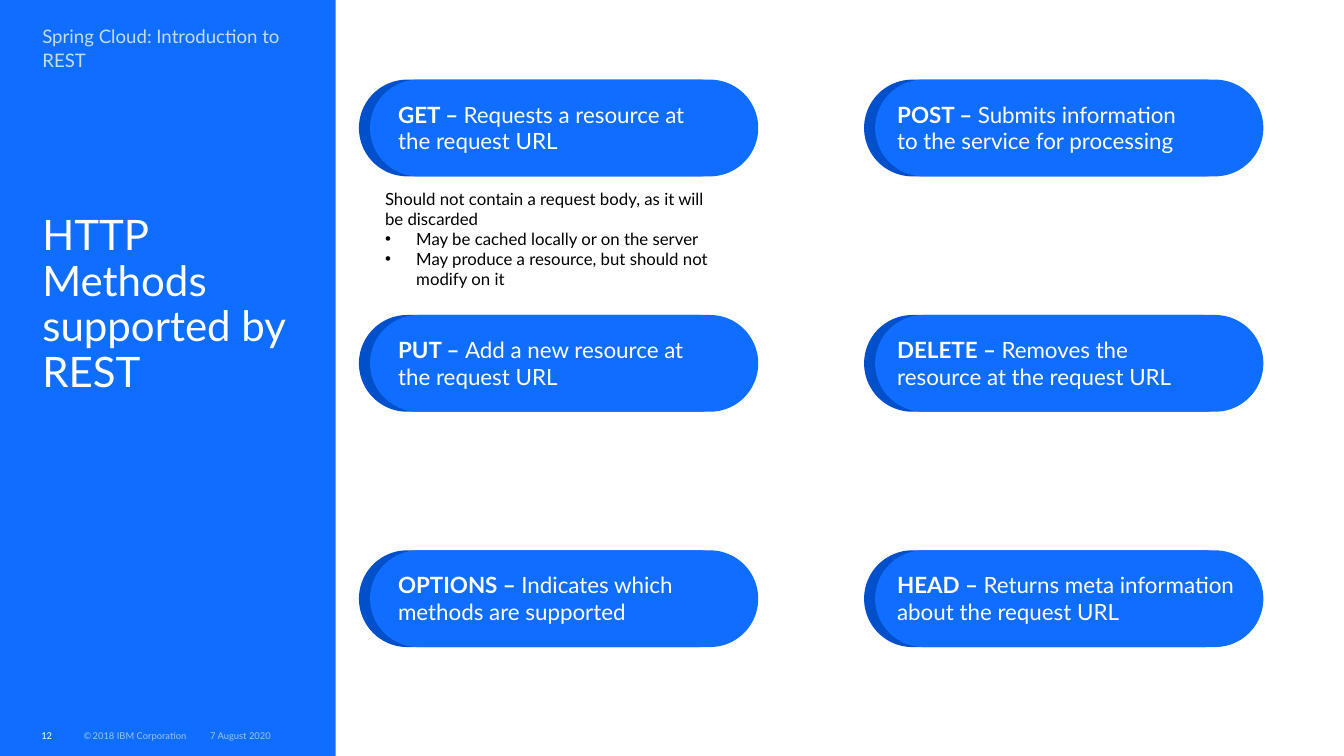
from lxml import etree
from pptx import Presentation
from pptx.dml.color import RGBColor
from pptx.enum.shapes import MSO_SHAPE
from pptx.enum.text import MSO_ANCHOR, PP_ALIGN
from pptx.oxml.ns import qn
from pptx.util import Inches, Pt

RECT, PILL = MSO_SHAPE.RECTANGLE, MSO_SHAPE.ROUNDED_RECTANGLE
TOP, MIDDLE = MSO_ANCHOR.TOP, MSO_ANCHOR.MIDDLE
LEFT = PP_ALIGN.LEFT

FONT = "Lato"
BLUE, DARK_BLUE, PALE_BLUE = "0F6DFF", "004FCB", "C5DBFF"
WHITE, BLACK = "FFFFFF", "000000"
SIDEBAR_W = 3.33

METHODS = [
    ("GET", "Requests a resource at the request URL", 3.19),
    ("POST", "Submits information to the service for processing", 3.19),
    ("PUT", "Add a new resource at the request URL", 3.19),
    ("DELETE", "Removes the resource at the request URL", 3.19),
    ("OPTIONS", "Indicates which methods are supported", 3.19),
    ("HEAD", "Returns meta information about the request URL", 3.77),
]
GET_NOTES = [
    "Should not contain a request body, as it will be discarded",
    "May be cached locally or on the server",
    "May produce a resource, but should not modify on it",
]


def rgb(color):
    return RGBColor.from_string(color)


def add_run(p, text, size, color, bold=False, alpha=None):
    r = p.add_run()
    r.text = text
    r.font.name = FONT
    r.font.size = Pt(size)
    r.font.bold = bold
    r.font.color.rgb = rgb(color)
    if alpha is not None:
        clr = r._r.find(".//" + qn("a:srgbClr"))
        etree.SubElement(clr, qn("a:alpha"), val=str(alpha * 1000))


def set_frame(tf, margins=(0, 0, 0, 0), anchor=TOP):
    tf.word_wrap = True
    tf.vertical_anchor = anchor
    tf.margin_left, tf.margin_top, tf.margin_right, tf.margin_bottom = map(Inches, margins)


def add_text(s, x, y, w, h, margins=(0, 0, 0, 0), anchor=TOP):
    tf = s.shapes.add_textbox(Inches(x), Inches(y), Inches(w), Inches(h)).text_frame
    set_frame(tf, margins, anchor)
    return tf


def add_block(s, kind, x, y, w, h, color):
    sp = s.shapes.add_shape(kind, Inches(x), Inches(y), Inches(w), Inches(h))
    sp.shadow.inherit = False
    sp.fill.solid()
    sp.fill.fore_color.rgb = rgb(color)
    sp.line.fill.background()
    if kind == PILL:
        sp.adjustments[0] = 0.5


def add_sidebar(s, x, y, w):
    title = s.shapes.title
    title.left, title.top = Inches(x), Inches(y + 1.64)
    title.width, title.height = Inches(w), Inches(3.33)
    set_frame(title.text_frame, (0, 0.25, 0, 0))
    p = title.text_frame.paragraphs[0]
    p.alignment = LEFT
    p.line_spacing = 0.9
    add_run(p, "HTTP Methods ", 30, WHITE)
    p.add_line_break()
    add_run(p, "supported by REST", 30, WHITE)

    p = add_text(s, x, y, w, 0.75).paragraphs[0]
    p.line_spacing = 1.05
    add_run(p, "Spring Cloud: Introduction to REST", 13.3, PALE_BLUE)


def add_footer(s, x, y):
    number = add_text(s, x, y, 0.3, 0.2, anchor=MIDDLE).paragraphs[0]
    add_run(number, "12", 6.7, WHITE)
    rights = add_text(s, x + 0.42, y, 2.08, 0.2, anchor=MIDDLE).paragraphs[0]
    for text, size in [("©", 6.7), (" ", 3.3), ("2018 IBM Corporation", 6.7)]:
        add_run(rights, text, size, WHITE, alpha=60)
    date = add_text(s, x + 1.65, y, 1.25, 0.2, anchor=MIDDLE).paragraphs[0]
    add_run(date, " 7 August 2020", 6.7, WHITE, alpha=60)


def add_method(s, x, y, text_x, text_w, name, description):
    add_block(s, PILL, x, y, 3.85, 0.96, DARK_BLUE)
    add_block(s, PILL, x + 0.11, y, 3.85, 0.96, BLUE)
    p = add_text(s, text_x, y + 0.16, text_w, 0.64, (0.1, 0.05, 0.1, 0.05)).paragraphs[0]
    add_run(p, f"{name} – ", 16, WHITE, bold=True)
    add_run(p, description, 16, WHITE)


def add_methods(s, x, y):
    for i, (name, description, text_w) in enumerate(METHODS):
        row, col = divmod(i, 2)
        add_method(s, x + 5.01 * col, y + 2.335 * row, x + 0.29 + 4.95 * col,
                   text_w, name, description)


def add_notes_list(s, x, y, w, h):
    tf = add_text(s, x, y, w, h, (0.1, 0.05, 0.1, 0.05))
    for i, text in enumerate(GET_NOTES):
        p = tf.add_paragraph() if i else tf.paragraphs[0]
        if i:
            pPr = p._p.get_or_add_pPr()
            pPr.set("marL", str(Inches(0.31)))
            pPr.set("indent", str(Inches(-0.31)))
            etree.SubElement(pPr, qn("a:buFont"), typeface="Arial")
            etree.SubElement(pPr, qn("a:buChar"), char="•")
        add_run(p, text, 12, BLACK)


def main():
    prs = Presentation()
    prs.slide_width, prs.slide_height = Inches(13.33), Inches(7.5)
    s = prs.slides.add_slide(prs.slide_layouts[5])
    s.background.fill.solid()
    s.background.fill.fore_color.rgb = rgb(BLUE)
    add_block(s, RECT, SIDEBAR_W, 0, 10, 7.5, WHITE)
    add_sidebar(s, 0.42, 0.24, 2.71)
    add_footer(s, 0.41, 7.2)
    add_methods(s, 3.56, 0.79)
    add_notes_list(s, 3.72, 1.82, 3.45, 1.11)
    prs.save("out.pptx")


if __name__ == "__main__":
    main()
